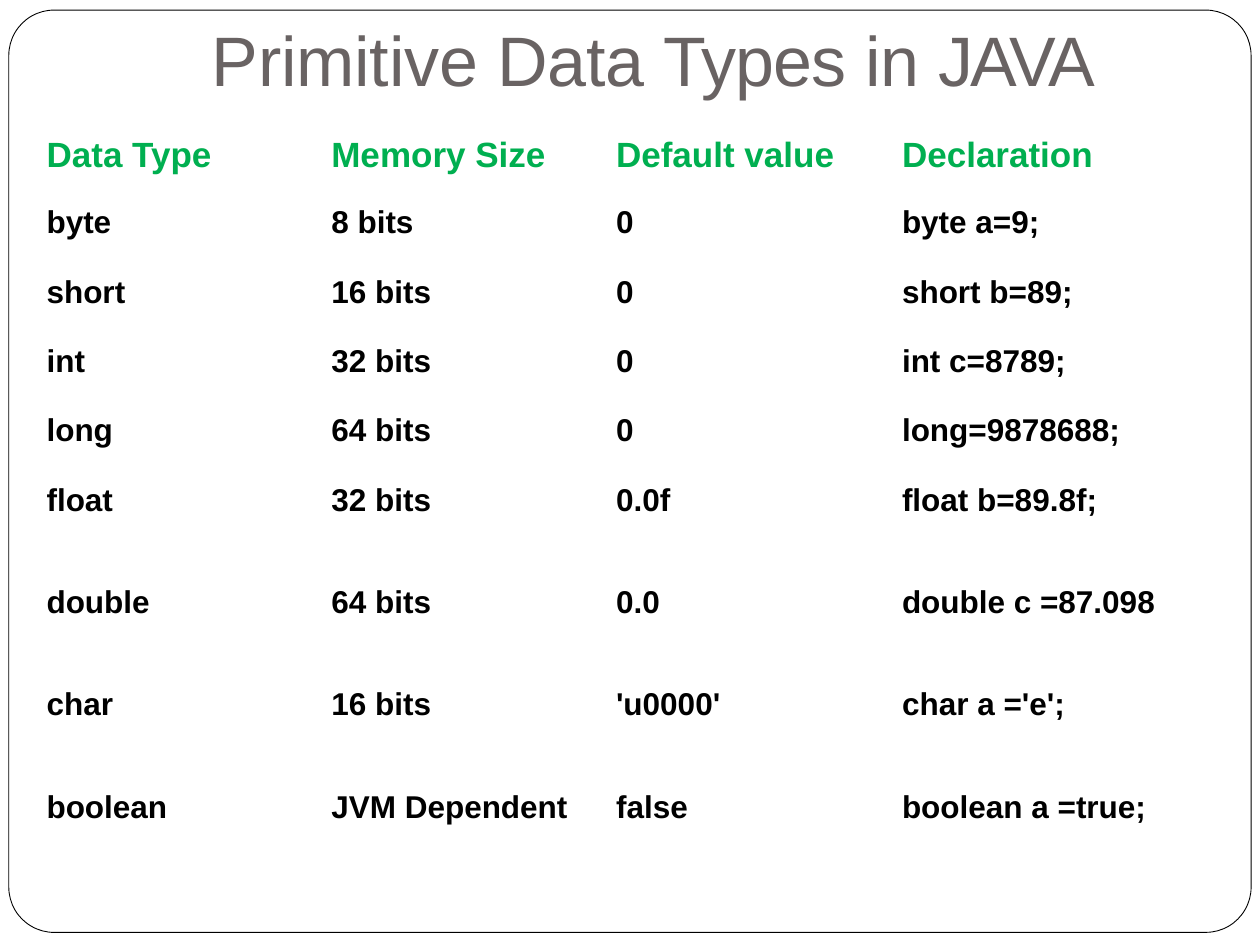
"""Build a slide with a table of the primitive data types in Java."""
from pptx import Presentation
from pptx.dml.color import RGBColor
from pptx.enum.shapes import MSO_SHAPE as Shape
from pptx.enum.text import MSO_ANCHOR as Anchor, MSO_AUTO_SIZE as AutoSize, PP_ALIGN as Align
from pptx.util import Inches, Pt

COLORS = {"title": "696363", "header": "00AF50", "body": "000000", "frame": "000000"}
FONT = "Arial"
TITLE = [("Primitive Data ", -0.1), ("Types ", -0.5), ("in ", -0.1), ("JAVA", -1.5)]
ROWS = [
    ("Data Type", "Memory Size", "Default value", "Declaration"),
    ("byte", "8 bits", "0", "byte a=9;"),
    ("short", "16 bits", "0", "short b=89;"),
    ("int", "32 bits", "0", "int c=8789;"),
    ("long", "64 bits", "0", "long=9878688;"),
    ("float", "32 bits", "0.0f", "float b=89.8f;"),
    ("double", "64 bits", "0.0", "double c =87.098"),
    ("char", "16 bits", "'u0000'", "char a ='e';"),
    ("boolean", "JVM Dependent", "false", "boolean a =true;"),
]
COLUMN_WIDTHS = [1.92, 2.55, 2.19, 2.41]
COLUMN_INDENTS = [0.14, 0.48, 0.19, 0.27]
ROW_HEIGHTS = [0.44] + [0.55] * 4 + [0.68, 0.81, 0.81, 0.55]
TOP_MARGINS = [0] + [0.11] * 5 + [0.24] * 3
LINE_SPACINGS = {0: Pt(22.1), len(ROWS) - 1: Pt(20.8)}
FRAME_BOX = (0.07, 0.08, 9.86, 7.32)
FRAME_RADIUS = 0.36
TITLE_BOX = (1.67, 0.12, 7.16, 0.69)
TABLE_ORIGIN = (0.23, 1.08)


def set_all(target, values):
    for name, value in values.items():
        setattr(target, name, value)


def format_font(font, size, color, bold=False):
    set_all(font, {"name": FONT, "size": Pt(size), "bold": bold})
    font.color.rgb = RGBColor.from_string(COLORS[color])


def add_frame(slide):
    frame = slide.shapes.add_shape(Shape.ROUNDED_RECTANGLE, *map(Inches, FRAME_BOX))
    frame.adjustments[0] = FRAME_RADIUS / FRAME_BOX[3]
    frame.shadow.inherit = False
    frame.fill.background()
    frame.line.color.rgb = RGBColor.from_string(COLORS["frame"])
    frame.line.width = Pt(0.5)


def fill_title(title):
    set_all(title, dict(zip(("left", "top", "width", "height"), map(Inches, TITLE_BOX))))
    set_all(title.text_frame, {
        "margin_left": Inches(0.01), "margin_top": Inches(0.01), "margin_right": 0,
        "margin_bottom": 0, "vertical_anchor": Anchor.TOP, "word_wrap": True,
        "auto_size": AutoSize.SHAPE_TO_FIT_TEXT,
    })
    paragraph = title.text_frame.paragraphs[0]
    set_all(paragraph, {"alignment": Align.LEFT, "space_before": Pt(0.9)})
    for text, spacing in TITLE:
        run = paragraph.add_run()
        run.text = text
        format_font(run.font, 40, "title")
        run.font._element.set("spc", str(round(spacing * 100)))


def fill_cell(cell, text, row, column):
    cell.fill.background()
    set_all(cell, {
        "margin_left": Inches(COLUMN_INDENTS[column]), "margin_right": 0,
        "margin_top": Inches(TOP_MARGINS[row]), "margin_bottom": 0,
        "vertical_anchor": Anchor.TOP,
    })
    paragraph = cell.text_frame.paragraphs[0]
    paragraph.line_spacing = LINE_SPACINGS.get(row)
    run = paragraph.add_run()
    run.text = text
    size, color = (18, "body") if row else (20, "header")
    format_font(run.font, size, color, bold=True)


def add_type_table(slide):
    size = (sum(COLUMN_WIDTHS), sum(ROW_HEIGHTS))
    table = slide.shapes.add_table(
        len(ROWS), len(COLUMN_WIDTHS), *map(Inches, TABLE_ORIGIN + size)).table
    set_all(table, {"first_row": False, "horz_banding": False})
    for column, width in zip(table.columns, COLUMN_WIDTHS):
        column.width = Inches(width)
    for row, height in zip(table.rows, ROW_HEIGHTS):
        row.height = Inches(height)
    for row, texts in enumerate(ROWS):
        for column, text in enumerate(texts):
            fill_cell(table.cell(row, column), text, row, column)


def main():
    presentation = Presentation()
    set_all(presentation, {"slide_width": Inches(10), "slide_height": Inches(7.5)})
    slide = presentation.slides.add_slide(presentation.slide_layouts[5])
    add_frame(slide)
    fill_title(slide.shapes.title)
    add_type_table(slide)
    presentation.save("out.pptx")


if __name__ == "__main__":
    main()
